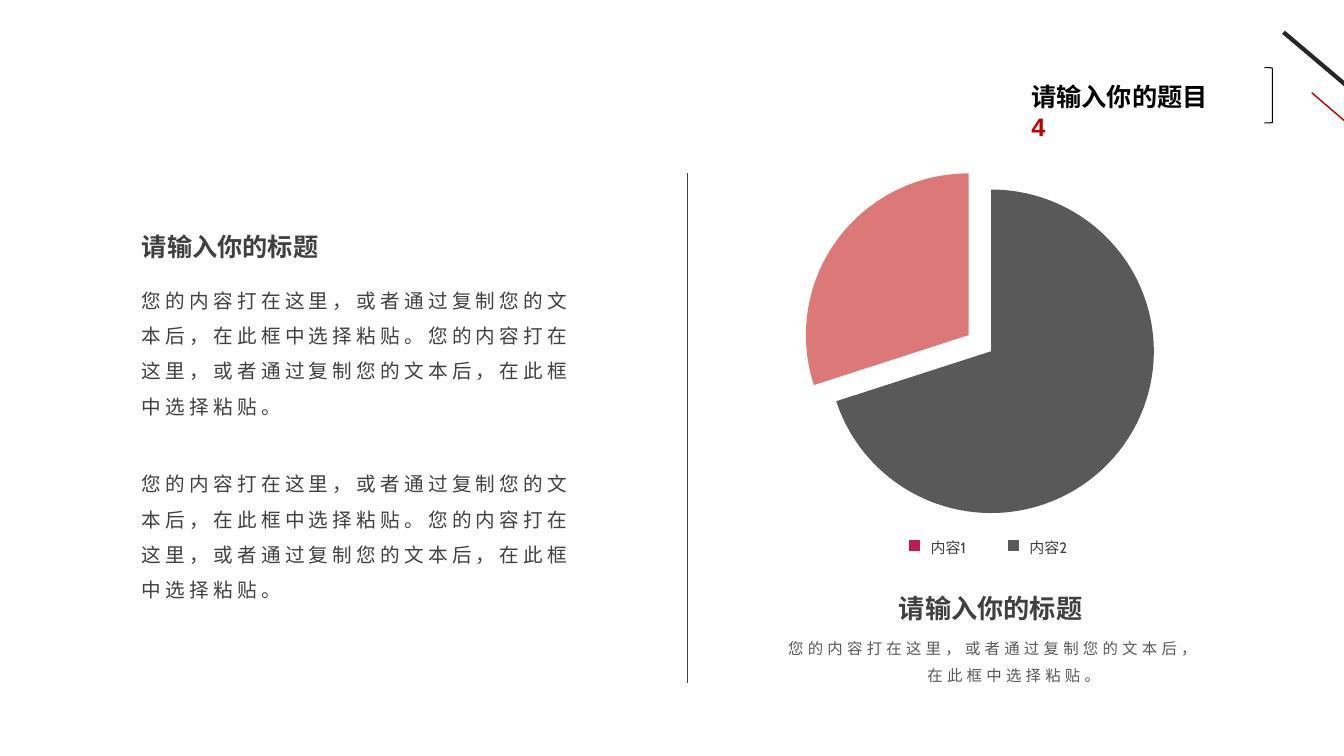
from lxml import etree
from pptx import Presentation
from pptx import util as u
from pptx.chart import data as chart_data
from pptx.dml import color
from pptx.enum import chart as chart_enum, shapes, text
from pptx.oxml import ns

COLORS = {"black": "000000", "dark": "262626", "ink": "404040", "gray": "595959",
          "red": "C00000", "crimson": "BF1B50", "white": "FFFFFF"}
CJK = "Noto Sans CJK SC"
SENTENCE = "您的内容打在这里，或者通过复制您的文本后，在此框中选择粘贴。"
SUBTITLE = "请输入你的标题"


def rgb(name):
    """Return the named palette colour."""
    return color.RGBColor.from_string(COLORS[name])


def inches(*lengths):
    """Convert lengths to Inches."""
    return [u.Inches(length) for length in lengths]


def style_run(run, size, font, ink, bold=False, tracking=0):
    """Format a run, with the same tracking and a CJK face throughout."""
    run.font.size = u.Pt(size)
    run.font.bold = bold
    run.font.color.rgb = rgb(ink)
    run.font.name = font
    props = run.font._element
    etree.SubElement(props, ns.qn("a:ea")).set("typeface", CJK)
    if tracking:
        props.set("spc", str(tracking * 100))


def add_text(slide, box, wording, size, font, ink, bold=False, tracking=0, spacing=1,
             inset=True, align=text.PP_ALIGN.LEFT, anchor=text.MSO_ANCHOR.TOP):
    """Add a wrapped one-paragraph text box and return its paragraph."""
    frame = slide.shapes.add_textbox(*inches(*box)).text_frame
    frame.word_wrap = True
    frame.vertical_anchor = anchor
    if not inset:
        frame.margin_left = frame.margin_right = frame.margin_top = frame.margin_bottom = 0
    frame.text = wording
    paragraph = frame.paragraphs[0]
    paragraph.alignment = align
    paragraph.line_spacing = spacing
    style_run(paragraph.runs[0], size, font, ink, bold, tracking)
    return paragraph


def add_line(slide, ends, ink, width):
    """Add a straight line without a shadow."""
    line = slide.shapes.add_connector(shapes.MSO_CONNECTOR.STRAIGHT, *inches(*ends))
    line.line.color.rgb = rgb(ink)
    line.line.width = u.Pt(width)
    etree.SubElement(line._element.spPr, ns.qn("a:effectLst"))


def add_title(slide):
    """Add the page title, its number and the closing bracket."""
    title = add_text(slide, (10.13, 0.76, 2.25, 0.7), "请输入你的题目", 18, "Arial", "black", True)
    title.add_line_break()
    number = title.add_run()
    number.text = "4"
    style_run(number, 18, "Arial", "red", True)
    bracket = slide.shapes.add_shape(shapes.MSO_SHAPE.LEFT_BRACKET,
                                     *inches(12.54, 0.67, 0.08, 0.55))
    bracket.shadow.inherit = False
    bracket.fill.background()
    bracket.line.color.rgb = rgb("black")
    bracket.line.width = u.Pt(0.75)
    bracket._element.spPr.find(ns.qn("a:xfrm")).set("flipH", "1")


def set_plot_layout(chart, x, y, width, height):
    """Fix the inner plot area as fractions of the chart."""
    plot_area = chart._chartSpace.chart.plotArea
    for old in plot_area.findall(ns.qn("c:layout")):
        plot_area.remove(old)
    layout = etree.Element(ns.qn("c:layout"))
    manual = etree.SubElement(layout, ns.qn("c:manualLayout"))
    settings = (("layoutTarget", "inner"), ("xMode", "edge"), ("yMode", "edge"),
                ("x", x), ("y", y), ("w", width), ("h", height))
    for tag, value in settings:
        etree.SubElement(manual, ns.qn(f"c:{tag}")).set("val", str(value))
    plot_area.insert(0, layout)


def add_pie(slide):
    """Add the two-part pie with its second slice pulled out."""
    shares = chart_data.CategoryChartData()
    shares.categories = ["1", "2"]
    shares.add_series("Series 1", (70, 30))
    pie = slide.shapes.add_chart(chart_enum.XL_CHART_TYPE.PIE,
                                 *inches(7.85, 1.72, 3.96, 3.51), shares).chart
    pie.has_legend = False
    pie.has_title = False
    pie.font.size = u.Pt(10)
    pie.font.name = "Arial"
    pie.font.color.rgb = rgb("black")
    set_plot_layout(pie, 0.09, 0.04, 0.82, 0.92)
    points = pie.plots[0].series[0].points
    for index, ink in enumerate(("gray", "red")):
        slice_format = points[index].format
        slice_format.fill.solid()
        slice_format.fill.fore_color.rgb = rgb(ink)
        slice_format.line.fill.background()
    pulled = pie.plots[0].series[0]._element.findall(ns.qn("c:dPt"))[1]
    tint = pulled.find(".//" + ns.qn("a:srgbClr"))
    etree.SubElement(tint, ns.qn("a:alpha")).set("val", "53000")
    explosion = etree.Element(ns.qn("c:explosion"))
    explosion.set("val", "17")
    pulled.find(ns.qn("c:spPr")).addprevious(explosion)


def add_legend_entry(slide, left, label, ink):
    """Add one legend swatch and its label."""
    swatch = slide.shapes.add_shape(shapes.MSO_SHAPE.RECTANGLE, *inches(left, 5.35, 0.12, 0.12))
    swatch.shadow.inherit = False
    swatch.fill.solid()
    swatch.fill.fore_color.rgb = rgb(ink)
    swatch.line.color.rgb = rgb("white")
    swatch.line.width = u.Pt(1)
    add_text(slide, (left + 0.22, 5.33, 0.71, 0.18), label, 10.7, "Cabin", "ink",
             spacing=1.1, inset=False, anchor=text.MSO_ANCHOR.MIDDLE)


def add_caption(slide):
    """Add the heading and the explanation under the pie."""
    add_text(slide, (7.77, 5.88, 4.11, 0.31), SUBTITLE, 18.7, CJK, "ink", True,
             inset=False, align=text.PP_ALIGN.CENTER)
    caption = add_text(slide, (7.77, 6.26, 4.19, 0.52), SENTENCE, 11, CJK, "gray", tracking=3,
                       spacing=1.5, inset=False, align=text.PP_ALIGN.CENTER,
                       anchor=text.MSO_ANCHOR.MIDDLE)
    caption.space_before = u.Pt(2)
    props = caption._p.get_or_add_pPr()
    props.set("marL", str(u.Inches(0.38)))
    props.set("indent", str(u.Inches(-0.38)))


def main():
    """Build and save the slide."""
    deck = Presentation()
    deck.slide_width, deck.slide_height = inches(13.33, 7.5)
    slide = deck.slides.add_slide(deck.slide_layouts[6])
    add_line(slide, (12.73, 0.32, 13.58, 1.04), "dark", 3)
    add_line(slide, (13.01, 0.92, 13.43, 1.28), "red", 1)
    add_title(slide)
    add_caption(slide)
    add_pie(slide)
    for left, label, ink in ((9.01, "内容1", "crimson"), (9.99, "内容2", "gray")):
        add_legend_entry(slide, left, label, ink)
    add_text(slide, (1.31, 2.25, 2.2, 0.4), SUBTITLE, 18, "Arial", "ink", True)
    for top in (2.7, 4.52):
        add_text(slide, (1.31, top, 4.57, 1.87), SENTENCE * 2, 14, CJK, "ink",
                 tracking=3, spacing=1.5)
    add_line(slide, (6.82, 1.72, 6.82, 6.78), "ink", 1)
    deck.save("out.pptx")


if __name__ == "__main__":
    main()
